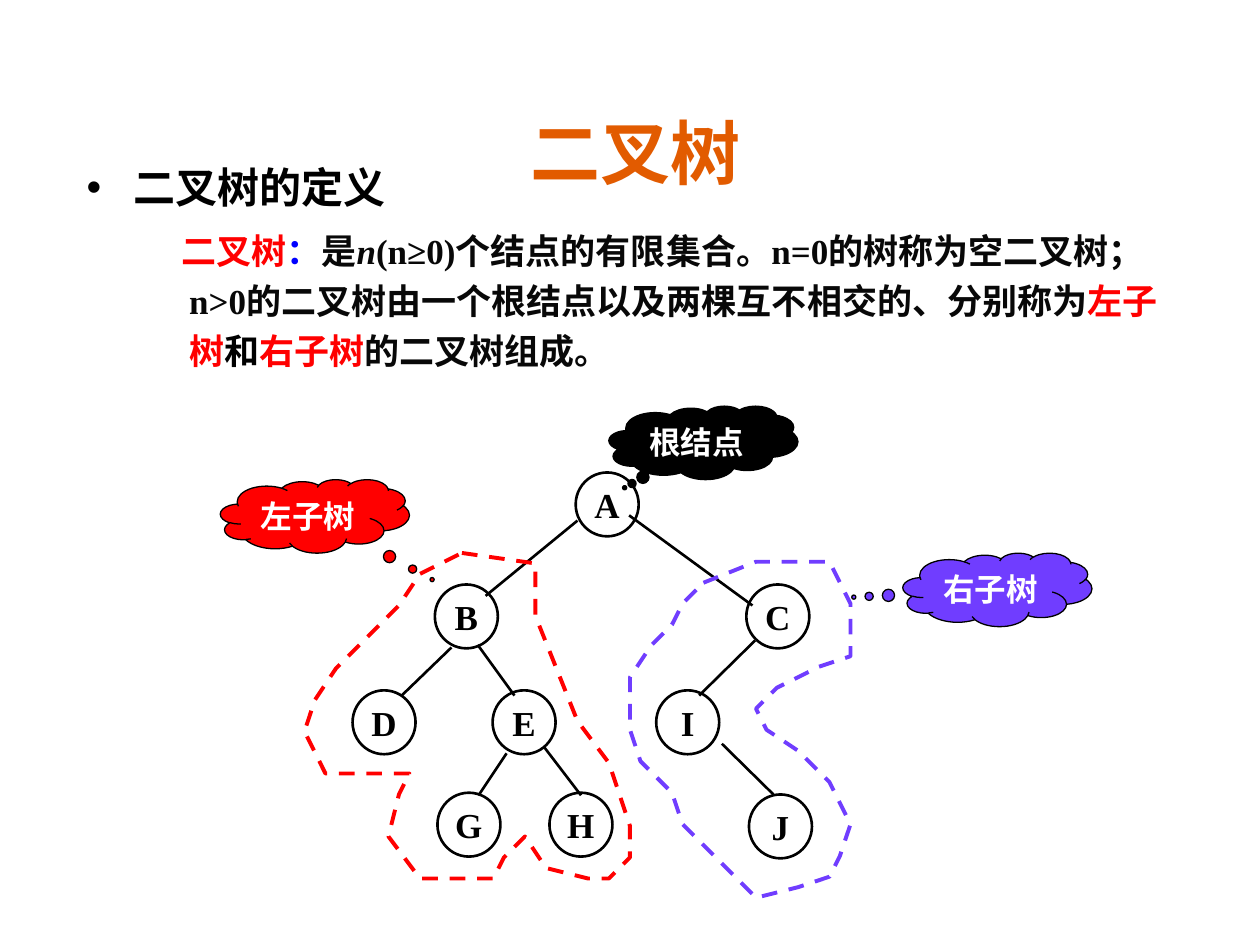
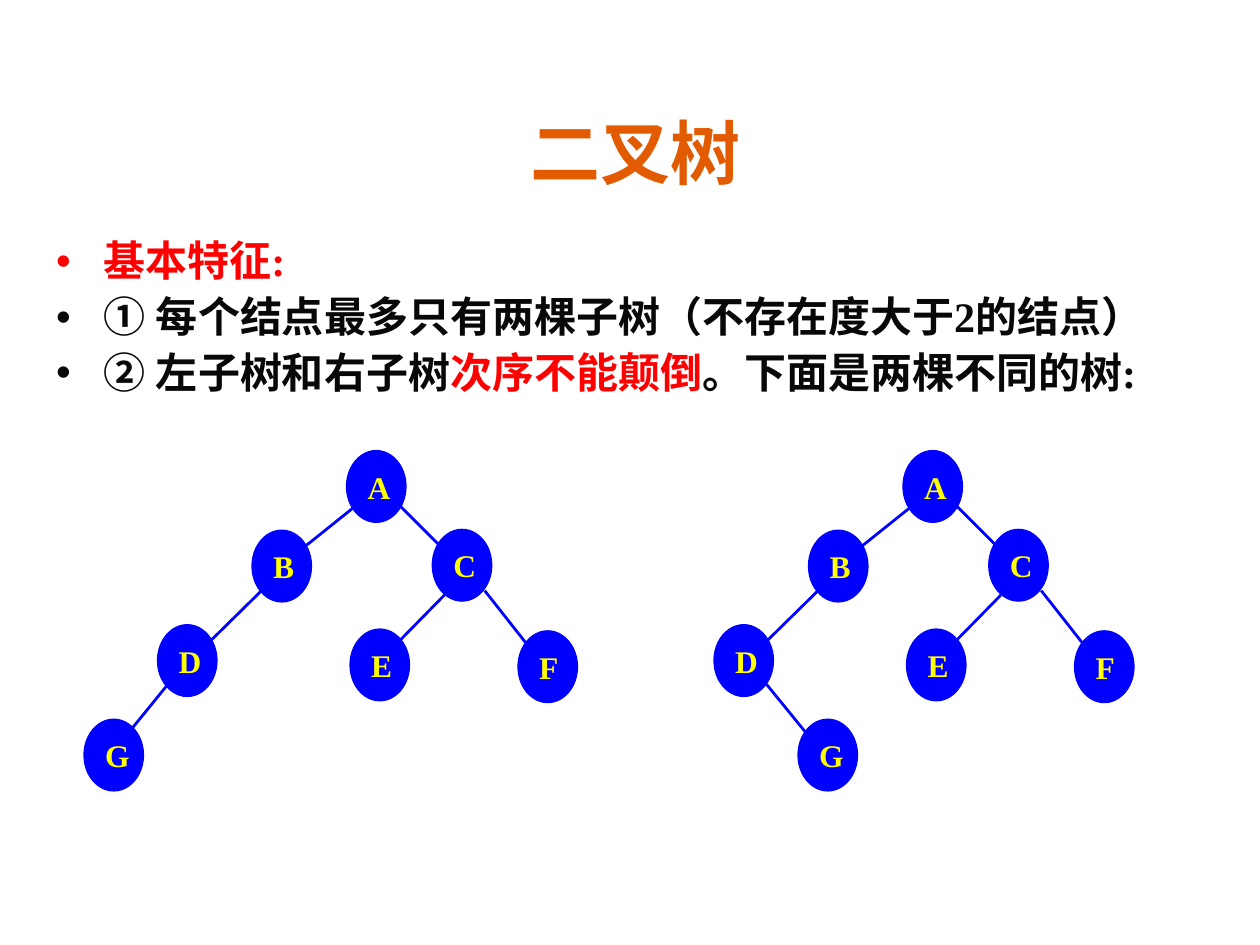
from lxml.etree import SubElement
from pptx import Presentation
from pptx.dml.color import RGBColor
from pptx.enum.dml import MSO_LINE
from pptx.enum.shapes import MSO_CONNECTOR, MSO_SHAPE
from pptx.enum.text import MSO_ANCHOR as Anchor, PP_ALIGN as Align
from pptx.oxml.ns import qn
from pptx.util import Pt

BLACK = RGBColor(0x00, 0x00, 0x00)
INK = RGBColor(0x08, 0x08, 0x08)
WHITE = RGBColor(0xFF, 0xFF, 0xFF)
RED = RGBColor(0xFF, 0x00, 0x00)
BLUE = RGBColor(0x00, 0x00, 0xFF)
PURPLE = RGBColor(0x70, 0x3D, 0xFF)
YELLOW = RGBColor(0xFF, 0xFF, 0x00)
ORANGE = RGBColor(0xE2, 0x5B, 0x00)

SERIF = "Times New Roman"
SANS = "Noto Sans CJK SC"
COMIC = "Comic Neue"
KARLA = "Karla"


class Deck:
    """Holds the shared style and the slide being filled."""

    def __init__(self):
        self.presentation = Presentation()
        self.presentation.slide_width = Pt(720)
        self.presentation.slide_height = Pt(540)
        self.slide = None

    def new_slide(self, title, title_font):
        layout = self.presentation.slide_layouts[6]
        self.slide = self.presentation.slides.add_slide(layout)
        frame = self.text_box(54, 54, 618, 60)
        frame.vertical_anchor = Anchor.BOTTOM
        paragraph = frame.paragraphs[0]
        paragraph.text = title
        paragraph.alignment = Align.CENTER
        self.style(paragraph, 40, title_font, ORANGE)

    def style(self, paragraph, size, name, color):
        font = paragraph.font
        font.size, font.name, font.bold = Pt(size), name, True
        font.color.rgb = color
        properties = paragraph._p.pPr.find(qn("a:defRPr"))
        SubElement(properties, qn("a:ea")).set("typeface", KARLA)

    def text_box(self, left, top, width, height):
        box = self.slide.shapes.add_textbox(Pt(left), Pt(top), Pt(width), Pt(height))
        box.text_frame.word_wrap = True
        return box.text_frame

    def paragraph(self, frame, runs, size, font, spacing, before=0,
                  margin=27, indent=-27, bullet=None):
        """Add a paragraph of (text, colour) runs; bullet is its colour."""
        paragraph = frame.paragraphs[0]
        if paragraph.runs:
            paragraph = frame.add_paragraph()
        paragraph.line_spacing = spacing
        paragraph.space_before = Pt(before)
        properties = paragraph._p.get_or_add_pPr()
        properties.set("marL", str(Pt(margin)))
        properties.set("indent", str(Pt(indent)))
        if bullet is not None:
            color = SubElement(properties, qn("a:buClr"))
            SubElement(color, qn("a:srgbClr")).set("val", str(bullet))
            SubElement(properties, qn("a:buFont")).set("typeface", "Arial")
            SubElement(properties, qn("a:buChar")).set("char", "•")
        self.style(paragraph, size, font, runs[0][1])
        for text, color in runs:
            run = paragraph.add_run()
            run.text = text
            if color != runs[0][1]:
                run.font.color.rgb = color
        return paragraph

    def shape(self, kind, box, text, size, font, color, fill, line, line_width):
        shape = self.slide.shapes.add_shape(kind, *map(Pt, box))
        shape.shadow.inherit = False
        if fill is None:
            shape.fill.background()
        else:
            shape.fill.solid()
            shape.fill.fore_color.rgb = fill
        shape.line.color.rgb = line
        shape.line.width = Pt(line_width)
        paragraph = shape.text_frame.paragraphs[0]
        paragraph.text = text
        paragraph.alignment = Align.CENTER
        self.style(paragraph, size, font, color)
        return shape

    def outlined_node(self, letter, left, top):
        node = self.shape(MSO_SHAPE.OVAL, (left, top, 36, 36.5), letter,
                          20, SERIF, BLACK, None, BLACK, 1.5)
        node.text_frame.vertical_anchor = Anchor.MIDDLE
        node.text_frame.word_wrap = False

    def filled_node(self, letter, left, top):
        node = self.shape(MSO_SHAPE.OVAL, (left, top, 34, 41), letter,
                          18, SERIF, YELLOW, BLUE, BLUE, 0.75)
        node.text_frame.vertical_anchor = Anchor.MIDDLE

    def callout(self, text, left, top, fill, tail):
        cloud = self.shape(MSO_SHAPE.CLOUD_CALLOUT, (left, top, 108, 42), text,
                           18, KARLA, WHITE, fill, BLACK, 0.75)
        cloud.text_frame.vertical_anchor = Anchor.TOP
        cloud.adjustments[0], cloud.adjustments[1] = tail

    def edge(self, points, color, width, shift=0):
        x1, y1, x2, y2 = points
        line = self.slide.shapes.add_connector(
            MSO_CONNECTOR.STRAIGHT, Pt(x1 + shift), Pt(y1), Pt(x2 + shift), Pt(y2))
        line.line.color.rgb = color
        line.line.width = Pt(width)
        SubElement(line._element.spPr, qn("a:effectLst"))

    def dashed_outline(self, points, color):
        points = [(Pt(x), Pt(y)) for x, y in points]
        builder = self.slide.shapes.build_freeform(*points[0])
        builder.add_line_segments(points[1:], close=True)
        outline = builder.convert_to_shape()
        outline.shadow.inherit = False
        outline.fill.background()
        outline.line.color.rgb = color
        outline.line.width = Pt(2.25)
        outline.line.dash_style = MSO_LINE.DASH


# Definition slide
ROOTED_TREE = {
    "A": (329, 270), "B": (248.5, 334), "C": (426.5, 334),
    "D": (201.5, 394.5), "E": (281.5, 394.5), "I": (375, 394.5),
    "J": (428, 454), "G": (250, 453), "H": (314, 453),
}
ROOTED_EDGES = [
    (431.5, 366, 399.5, 397.5), (412.5, 425, 442, 454), (359.5, 294.5, 430, 346),
    (330, 297.5, 277.5, 340.5), (273, 368.5, 294, 397.5), (258, 370, 229.5, 397.5),
    (289.5, 430.5, 273.5, 454.5), (311, 427, 332, 454.5),
]
LEFT_SUBTREE = [
    (264, 316), (306, 322), (306, 352), (318, 382), (330, 412), (348, 436),
    (360, 472), (360, 490), (348, 502), (336, 502), (312, 496), (300, 478),
    (288, 490), (282, 502), (240, 502), (222, 478), (228, 454), (234, 442),
    (186, 442), (174, 418), (180, 400), (192, 382), (210, 364), (228, 346),
    (240, 328),
]
RIGHT_SUBTREE = [
    (402, 333), (432, 321), (474, 321), (486, 345), (486, 375), (468, 381),
    (444, 393), (432, 405), (438, 417), (456, 429), (474, 447), (486, 471),
    (480, 489), (474, 501), (456, 507), (432, 513), (390, 471), (384, 453),
    (366, 435), (360, 417), (360, 387), (372, 369), (384, 357), (390, 345),
]


def definition_slide(deck):
    deck.new_slide("二叉树", SANS)
    frame = deck.text_box(42.5, 83, 645, 146)
    deck.paragraph(frame, [("二叉树的定义", BLACK)], 24, SANS, 1.2, bullet=BLACK)
    definition = deck.paragraph(frame, [
        ("二叉树", RED), ("：", BLUE), ("是", INK), ("n", INK),
        ("(n≥0)个结点的有限集合。n=0的树称为空二叉树；"
         "n>0的二叉树由一个根结点以及两棵互不相交的、分别称为", INK),
        ("左子树", RED), ("和", BLACK), ("右子树", RED), ("的二叉树组成。", INK),
    ], 20, SERIF, 1.2, before=5, margin=58.5, indent=-4.5)
    definition.runs[3].font.italic = True

    for letter, place in ROOTED_TREE.items():
        deck.outlined_node(letter, *place)
    for points in ROOTED_EDGES:
        deck.edge(points, BLACK, 1.5)

    deck.callout("根结点", 348, 232, BLACK, (-0.417, 0.613))
    deck.callout("左子树", 126, 274, RED, (0.62, 0.863))
    deck.callout("右子树", 516, 316, PURPLE, (-0.76, 0.101))
    deck.dashed_outline(LEFT_SUBTREE, RED)
    deck.dashed_outline(RIGHT_SUBTREE, PURPLE)


# Features slide: two trees that differ only in the place of G
SHARED_TREE = {
    "B": (144, 303), "A": (198, 257.5), "C": (247, 302.5),
    "E": (200, 359.5), "D": (90, 357), "F": (296, 360.5),
}
SHARED_EDGES = [
    (204, 288.5, 174, 312.5), (150, 337, 120, 366.5), (228, 288.5, 252, 312.5),
    (277, 337.5, 301, 368), (254, 340, 228, 366.5),
]
TREE_SHIFT = 318


def ordered_tree(deck, shift, leaf_left, leaf_edge):
    for letter, (left, top) in {**SHARED_TREE, "G": (leaf_left, 411)}.items():
        deck.filled_node(letter, left + shift, top)
    for points in [*SHARED_EDGES, leaf_edge]:
        deck.edge(points, BLUE, 1.59, shift)


def features_slide(deck):
    deck.new_slide("二叉树", COMIC)
    frame = deck.text_box(25, 134, 675, 100)
    features = [
        [("基本特征:", RED)],
        [("① 每个结点最多只有两棵子树（不存在度大于2的结点）", INK)],
        [("② 左子树和右子树", INK), ("次序不能颠倒", RED),
         ("。下面是两棵不同的树:", INK)],
    ]
    for index, runs in enumerate(features):
        deck.paragraph(frame, runs, 24, SERIF, 0.9, before=6 if index else 0,
                       bullet=runs[0][1])

    ordered_tree(deck, TREE_SHIFT, 138, (120, 391, 144, 420.5))
    ordered_tree(deck, 0, 48, (96, 391, 72, 420.5))


def main():
    deck = Deck()
    definition_slide(deck)
    features_slide(deck)
    deck.presentation.save("out.pptx")


if __name__ == "__main__":
    main()
